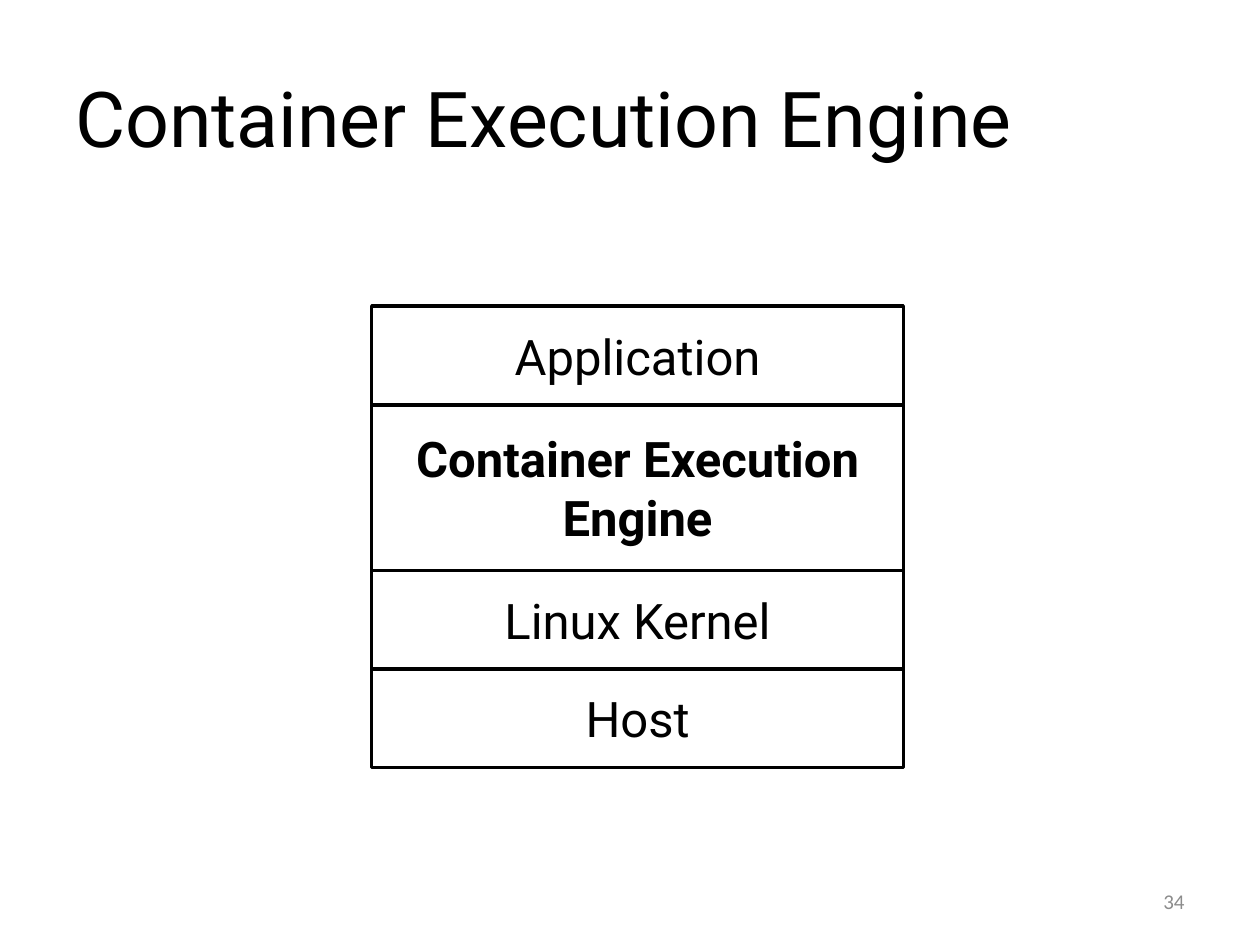
import pptx
import pptx.util
import pptx.dml.color
import pptx.enum.shapes
import pptx.enum.text

Pt = pptx.util.Pt
RGBColor = pptx.dml.color.RGBColor
ALIGN = pptx.enum.text.PP_ALIGN

BLACK = RGBColor(0x00, 0x00, 0x00)
WHITE = RGBColor(0xFF, 0xFF, 0xFF)
GRAY = RGBColor(0x8C, 0x8C, 0x8C)

TITLE = "Container Execution Engine"
PAGE_NUMBER = "34"

# Layers from top to bottom: lines, height, bold
LAYERS = [
    (["Application"], 56.3, False),
    (["Container Execution", "Engine"], 94.7, True),
    (["Linux Kernel"], 56.3, False),
    (["Host"], 56.3, False),
]
STACK_LEFT, STACK_TOP, STACK_WIDTH = 212.4, 175, 303.8


def write(sp, lines, size, align, font="Roboto", color=BLACK, bold=False):
    tf = sp.text_frame
    tf.word_wrap = True
    tf.vertical_anchor = pptx.enum.text.MSO_ANCHOR.MIDDLE
    tf.text = "\n".join(lines)
    for p in tf.paragraphs:
        p.alignment = align
        p.font.name = font
        p.font.size = Pt(size)
        p.font.bold = bold
        p.font.color.rgb = color


prs = pptx.Presentation()
prs.slide_width, prs.slide_height = Pt(720), Pt(540)
slide = prs.slides.add_slide(prs.slide_layouts[6])

# Title
sp = slide.shapes.add_textbox(Pt(36), Pt(21.6), Pt(648), Pt(90))
write(sp, [TITLE], 44, ALIGN.LEFT)

# Layer stack
top = STACK_TOP
for lines, height, bold in LAYERS:
    sp = slide.shapes.add_shape(
        pptx.enum.shapes.MSO_SHAPE.RECTANGLE,
        Pt(STACK_LEFT), Pt(top), Pt(STACK_WIDTH), Pt(height))
    sp.shadow.inherit = False
    sp.fill.solid()
    sp.fill.fore_color.rgb = WHITE
    sp.line.color.rgb = BLACK
    sp.line.width = Pt(2)
    write(sp, lines, 28, ALIGN.CENTER, bold=bold)
    top += height

# Page number
sp = slide.shapes.add_textbox(Pt(516), Pt(500.5), Pt(168), Pt(28.75))
write(sp, [PAGE_NUMBER], 12, ALIGN.RIGHT, font="Calibri", color=GRAY)

prs.save("out.pptx")
